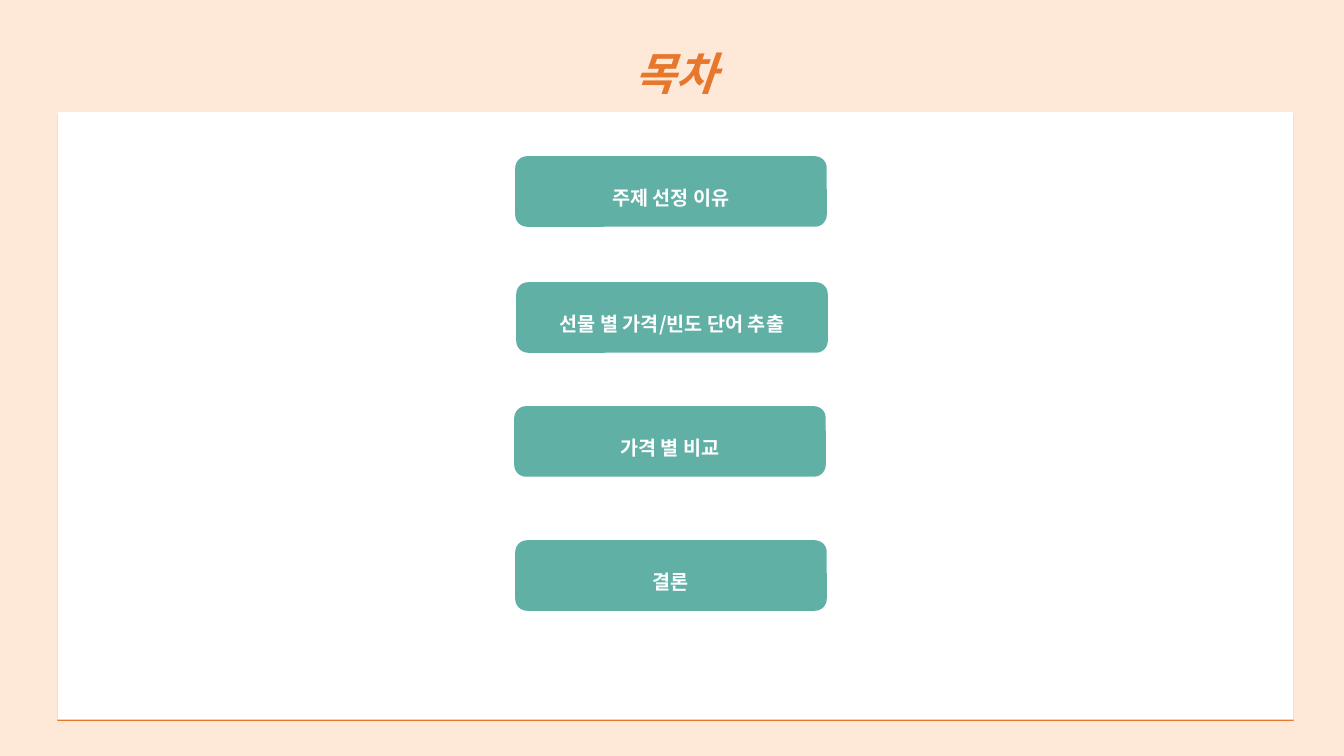
from lxml.etree import SubElement
from pptx import Presentation
from pptx.dml.color import RGBColor
from pptx.enum.shapes import MSO_SHAPE
from pptx.enum.text import MSO_ANCHOR, MSO_AUTO_SIZE, PP_ALIGN
from pptx.oxml import parse_xml
from pptx.oxml.ns import nsdecls, qn
from pptx.util import Inches, Pt

FONT = "Noto Sans CJK KR"
ORANGE, TEAL, WHITE, PEACH = "E7772C", "60B0A6", "FFFFFF", "FEE9D8"


def paint(color_format, color):
    color_format.rgb = RGBColor.from_string(color)


def write(text_frame, text, size, color, italic=None):
    text_frame.word_wrap = True
    paragraph = text_frame.paragraphs[0]
    paragraph.alignment = PP_ALIGN.CENTER
    paragraph.line_spacing = 1.5
    run = paragraph.add_run()
    run.text = text
    run.font.size = Pt(size)
    run.font.name = FONT
    run.font.bold = True
    run.font.italic = italic
    paint(run.font.color, color)
    # Korean letters take the East Asian typeface
    SubElement(run.font._element, qn("a:ea"), typeface=FONT)


presentation = Presentation()
presentation.slide_width = Inches(13.33)
presentation.slide_height = Inches(7.5)
slide = presentation.slides.add_slide(presentation.slide_layouts[6])
slide.background.fill.solid()
paint(slide.background.fill.fore_color, PEACH)

# White panel with a thin orange shadow along its bottom edge
panel = slide.shapes.add_shape(
    MSO_SHAPE.RECTANGLE, Inches(0.57), Inches(1.11), Inches(12.26), Inches(6.03))
panel.fill.solid()
paint(panel.fill.fore_color, WHITE)
panel.line.fill.background()
panel._element.spPr.append(parse_xml(
    f'<a:effectLst {nsdecls("a")}>'
    '<a:outerShdw blurRad="0" dist="12700" dir="5400000" algn="t" rotWithShape="0">'
    f'<a:srgbClr val="{ORANGE}"/></a:outerShdw></a:effectLst>'))

# Title
title = slide.shapes.add_textbox(Inches(3.37), Inches(0.14), Inches(6.67), Inches(0.84))
title.text_frame.auto_size = MSO_AUTO_SIZE.SHAPE_TO_FIT_TEXT
write(title.text_frame, "목차", 32, ORANGE, italic=True)

# Agenda buttons: left, top, label
agenda = [
    (5.11, 1.55, "주제 선정 이유"),
    (5.12, 2.8, "선물 별 가격/빈도 단어 추출"),
    (5.1, 4.03, "가격 별 비교"),
    (5.11, 5.36, "결론"),
]
for left, top, label in agenda:
    button = slide.shapes.add_shape(
        MSO_SHAPE.ROUNDED_RECTANGLE, Inches(left), Inches(top), Inches(3.09), Inches(0.7))
    button.shadow.inherit = False
    button.fill.solid()
    paint(button.fill.fore_color, TEAL)
    button.line.fill.background()
    button.text_frame.vertical_anchor = MSO_ANCHOR.MIDDLE
    write(button.text_frame, label, 14, WHITE)

presentation.save("out.pptx")
